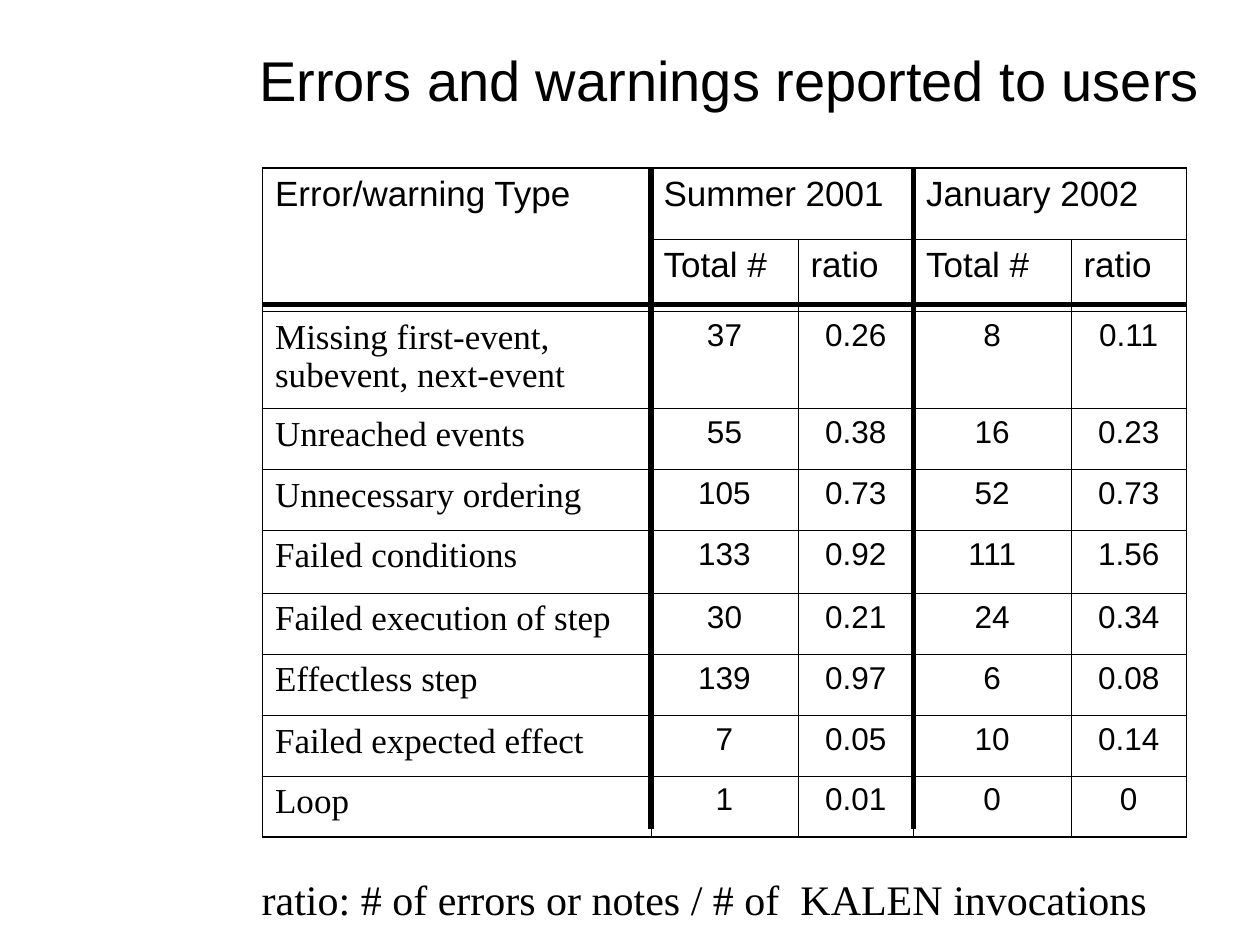
from itertools import accumulate

from lxml import etree
from pptx import Presentation
from pptx.dml.color import RGBColor
from pptx.enum import shapes, text
from pptx.oxml import ns
from pptx.util import Pt

BLACK = RGBColor(0, 0, 0)
WHITE = RGBColor(255, 255, 255)
SANS, SERIF = "Arial", "Times New Roman"
LEFT, CENTER = text.PP_ALIGN.LEFT, text.PP_ALIGN.CENTER

TITLE = "Errors and warnings reported to users"
FOOTNOTE = "ratio: # of errors or notes / # of  KALEN invocations"
HEADERS = [
    ["Error/warning Type", "Summer 2001", "", "January 2002", ""],
    ["", "Total #", "ratio", "Total #", "ratio"],
]
COUNTS = [
    ["Missing first-event, subevent, next-event", "37", "0.26", "8", "0.11"],
    ["Unreached events", "55", "0.38", "16", "0.23"],
    ["Unnecessary ordering", "105", "0.73", "52", "0.73"],
    ["Failed conditions", "133", "0.92", "111", "1.56"],
    ["Failed execution of step", "30", "0.21", "24", "0.34"],
    ["Effectless step", "139", "0.97", "6", "0.08"],
    ["Failed expected effect", "7", "0.05", "10", "0.14"],
    ["Loop", "1", "0.01", "0", "0"],
]
MERGES = [((0, 0), (1, 0)), ((0, 1), (0, 2)), ((0, 3), (0, 4))]

TABLE_LEFT, TABLE_TOP = 150, 96
COLUMN_WIDTHS = [222, 84, 66, 90, 66]
ROW_HEIGHTS = [41, 41, 55.5, 35, 34.5, 36, 35, 35, 34.5, 35]
THIN, OUTER, HEAVY = 0.45, 1.08, 3


def style(paragraph, font_name, size, align=LEFT, before=0):
    paragraph.alignment = align
    paragraph.space_before = Pt(before)
    paragraph.font.name = font_name
    paragraph.font.size = Pt(size)
    paragraph.font.color.rgb = BLACK


def set_borders(cell, widths):
    """Draw borders from a dict of side (L, R, T, B) to width."""
    properties = cell._tc.get_or_add_tcPr()
    for position, (side, width) in enumerate(widths.items()):
        line = etree.Element(ns.qn(f"a:ln{side}"), w=str(int(Pt(width))))
        fill = etree.SubElement(line, ns.qn("a:solidFill"))
        etree.SubElement(fill, ns.qn("a:srgbClr"), val=str(BLACK))
        properties.insert(position, line)


def add_text(slide, content, box, font_name, size, align=LEFT):
    shape = slide.shapes.add_textbox(*map(Pt, box))
    shape.text_frame.text = content
    style(shape.text_frame.paragraphs[0], font_name, size, align)
    return shape


def add_rule(slide, *ends):
    rule = slide.shapes.add_connector(shapes.MSO_CONNECTOR.STRAIGHT, *map(Pt, ends))
    rule.line.color.rgb = BLACK
    rule.line.width = Pt(HEAVY)
    etree.SubElement(rule._element.spPr, ns.qn("a:effectLst"))


def add_error_table(slide):
    rows = HEADERS + COUNTS
    last_row, last_column = len(rows) - 1, len(COLUMN_WIDTHS) - 1
    frame = slide.shapes.add_table(
        len(rows), len(COLUMN_WIDTHS), Pt(TABLE_LEFT), Pt(TABLE_TOP),
        Pt(sum(COLUMN_WIDTHS)), Pt(sum(ROW_HEIGHTS)))
    table = frame.table
    table.first_row = table.horz_banding = False
    for column, width in zip(table.columns, COLUMN_WIDTHS):
        column.width = Pt(width)
    for row, height in zip(table.rows, ROW_HEIGHTS):
        row.height = Pt(height)
    for r, values in enumerate(rows):
        for c, value in enumerate(values):
            cell = table.cell(r, c)
            cell.text = value
            cell.fill.background()
            paragraph = cell.text_frame.paragraphs[0]
            if r < len(HEADERS):
                style(paragraph, SANS, 20, before=5)
            elif c == 0:
                style(paragraph, SERIF, 20)
            else:
                style(paragraph, SANS, 18, CENTER, before=4.5)
            set_borders(cell, {
                "L": OUTER if c == 0 else THIN,
                "R": OUTER if c == last_column else THIN,
                "T": OUTER if r == 0 else THIN,
                "B": OUTER if r == last_row else THIN,
            })
    for first, last in MERGES:
        table.cell(*first).merge(table.cell(*last))


def main():
    deck = Presentation()
    deck.slide_width, deck.slide_height = Pt(720), Pt(540)
    slide = deck.slides.add_slide(deck.slide_layouts[6])

    title = add_text(slide, TITLE, (132, 0, 570, 90), SANS, 32, CENTER)
    title.text_frame.word_wrap = True
    title.text_frame.vertical_anchor = text.MSO_ANCHOR.MIDDLE

    add_error_table(slide)
    column_edges = list(accumulate(COLUMN_WIDTHS, initial=TABLE_LEFT))
    for x in (column_edges[1], column_edges[3]):
        add_rule(slide, x, TABLE_TOP, x, 474)
    add_rule(slide, TABLE_LEFT, 174, column_edges[-1], 174)

    footnote = add_text(slide, FOOTNOTE, (142.5, 495.5, 524, 36), SERIF, 24)
    footnote.fill.solid()
    footnote.fill.fore_color.rgb = WHITE
    footnote.text_frame.word_wrap = False
    footnote.text_frame.auto_size = text.MSO_AUTO_SIZE.SHAPE_TO_FIT_TEXT

    deck.save("out.pptx")


if __name__ == "__main__":
    main()
